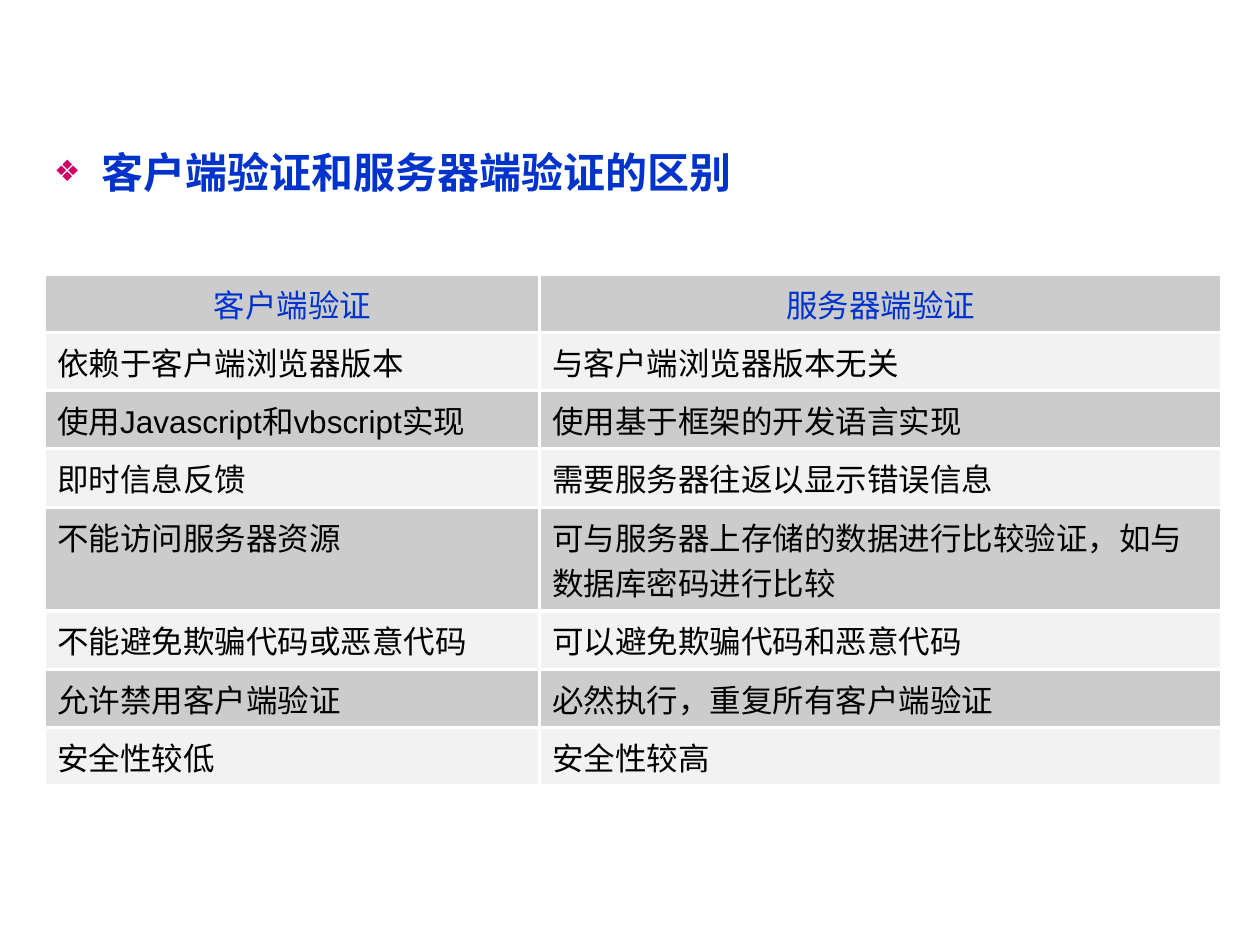
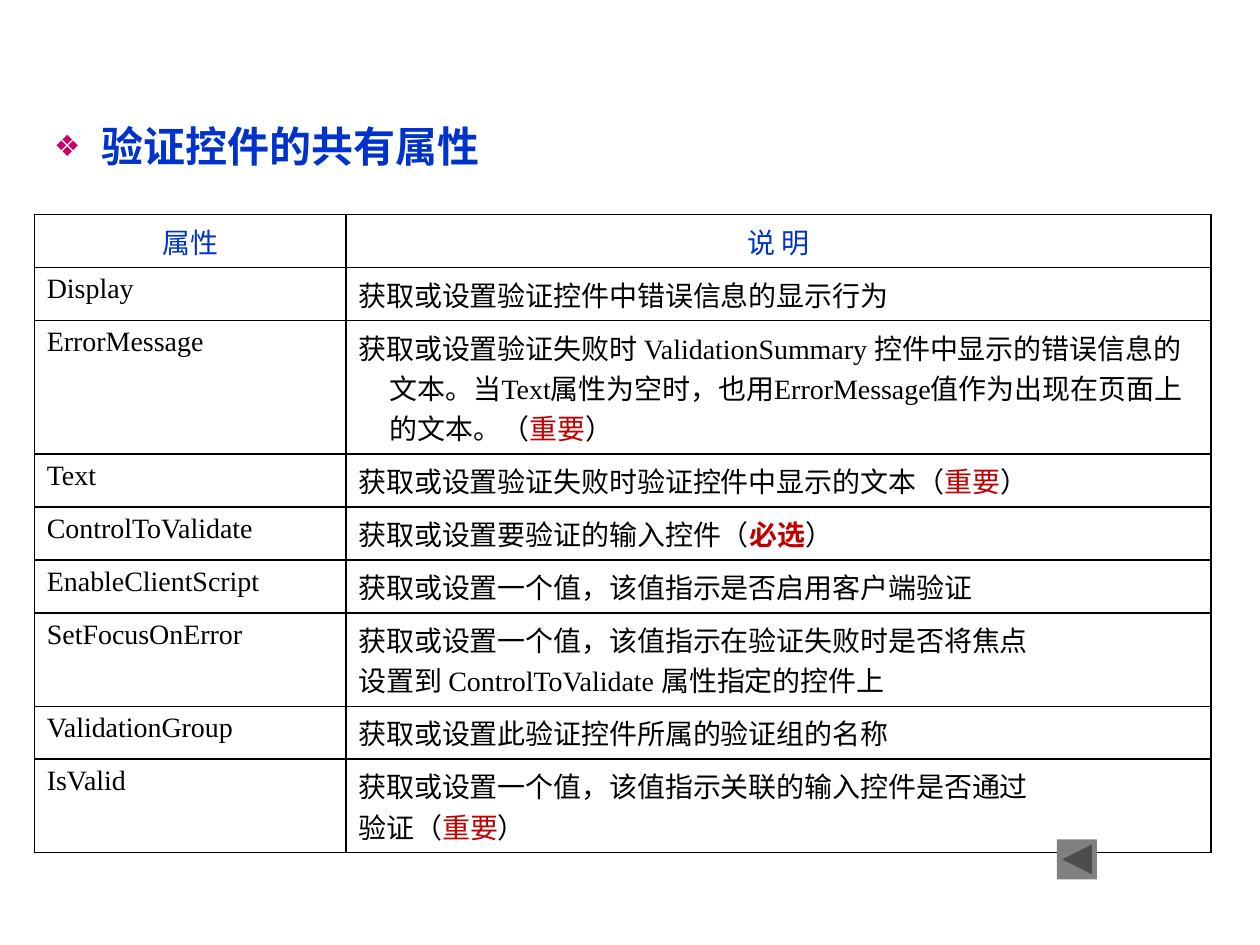
from dataclasses import dataclass, field

from lxml import etree
from pptx import Presentation, oxml, util as u
from pptx.dml import color
from pptx.enum import shapes, text
from pptx.oxml import ns

Pt = u.Pt


@dataclass(frozen=True)
class Theme:
    blue: str = "0033CC"
    black: str = "000000"
    white: str = "FFFFFF"
    red: str = "C00000"
    magenta: str = "CC0066"
    dark_band: str = "CCCCCC"
    light_band: str = "F2F2F2"
    button: str = "808080"
    sans: str = "Arial"
    serif: str = "Times New Roman"
    heading_size: float = 24
    compare_size: float = 18
    property_size: float = 16


T = Theme()


@dataclass(frozen=True)
class Mark:
    """A highlighted word inside a table cell."""
    text: str
    bold: bool = False


@dataclass(frozen=True)
class Heading:
    text: str
    top: float
    height: float
    line_spacing: float | None = None


@dataclass(frozen=True)
class Grid:
    """A two-column table; a cell is a string or a list of paragraphs."""
    left: float
    top: float
    columns: tuple
    row_height: float
    rows: list
    size: float
    font: str
    border: str
    border_width: float
    bands: tuple = ()
    hanging: float = 0
    tall_rows: dict = field(default_factory=dict)


def rgb(value: str) -> color.RGBColor:
    return color.RGBColor.from_string(value)


def add_run(p, content: str, *, size: float, font: str, ink: str, bold: bool = False) -> None:
    r = p.add_run()
    r.text = content
    r.font.size, r.font.name, r.font.bold = Pt(size), font, bold
    r.font.color.rgb = rgb(ink)


def set_indent(p, hanging: float) -> None:
    pPr = p._p.get_or_add_pPr()
    pPr.set("marL", str(Pt(hanging)))
    pPr.set("indent", str(-Pt(hanging)))


def add_bullet(p) -> None:
    pPr = p._p.get_or_add_pPr()
    clr = etree.SubElement(pPr, ns.qn("a:buClr"))
    etree.SubElement(clr, ns.qn("a:srgbClr"), val=T.magenta)
    etree.SubElement(pPr, ns.qn("a:buSzPct"), val="70000")
    etree.SubElement(pPr, ns.qn("a:buFont"), typeface=T.sans)
    etree.SubElement(pPr, ns.qn("a:buChar"), char="❖")


def add_slide(prs, heading: Heading):
    """Add a slide whose body placeholder carries the bulleted heading."""
    s = prs.slides.add_slide(prs.slide_layouts[1])
    title = s.shapes.title
    title._element.getparent().remove(title._element)
    sp = s.placeholders[1]
    sp.left, sp.top = Pt(23.76), Pt(heading.top)
    sp.width, sp.height = Pt(672.5), Pt(heading.height)
    tf = sp.text_frame
    tf.auto_size = text.MSO_AUTO_SIZE.NONE
    p = tf.paragraphs[0]
    if heading.line_spacing:
        p.line_spacing = heading.line_spacing
    set_indent(p, 27)
    add_bullet(p)
    add_run(p, heading.text, size=T.heading_size, font=T.sans, ink=T.blue, bold=True)
    return s


def set_borders(cell, ink: str, width: float) -> None:
    tcPr = cell._tc.get_or_add_tcPr()
    for i, side in enumerate("LRTB"):
        tcPr.insert(i, oxml.parse_xml(
            f'<a:ln{side} {ns.nsdecls("a")} w="{Pt(width)}"><a:solidFill>'
            f'<a:srgbClr val="{ink}"/></a:solidFill></a:ln{side}>'))


def fill_cell(cell, content, grid: Grid, row: int) -> None:
    header = row == 0
    if grid.bands:
        cell.fill.solid()
        cell.fill.fore_color.rgb = rgb(grid.bands[row % len(grid.bands)])
    else:
        cell.fill.background()
    set_borders(cell, grid.border, grid.border_width)

    tf = cell.text_frame
    paragraphs = [(content,)] if isinstance(content, str) else content
    for i, parts in enumerate(paragraphs):
        p = tf.add_paragraph() if i else tf.paragraphs[0]
        set_indent(p, grid.hanging)
        p.alignment = text.PP_ALIGN.CENTER if header else text.PP_ALIGN.LEFT
        for part in parts:
            if isinstance(part, Mark):
                add_run(p, part.text, size=grid.size, font=grid.font, ink=T.red, bold=part.bold)
            else:
                add_run(p, part, size=grid.size, font=T.sans if header else grid.font,
                        ink=T.blue if header else T.black)


def add_grid(s, grid: Grid) -> None:
    heights = [grid.tall_rows.get(i, grid.row_height) for i in range(len(grid.rows))]
    table = s.shapes.add_table(len(grid.rows), len(grid.columns), Pt(grid.left), Pt(grid.top),
                               Pt(sum(grid.columns)), Pt(sum(heights))).table
    table.first_row = table.horz_banding = False
    for column, width in zip(table.columns, grid.columns):
        column.width = Pt(width)
    for i, (height, row) in enumerate(zip(heights, grid.rows)):
        table.rows[i].height = Pt(height)
        for j, content in enumerate(row):
            fill_cell(table.cell(i, j), content, grid, i)


def add_back_button(s, left: float, top: float, size: float) -> None:
    sp = s.shapes.add_shape(shapes.MSO_SHAPE.ACTION_BUTTON_BACK_OR_PREVIOUS,
                            Pt(left), Pt(top), Pt(size), Pt(size))
    sp.shadow.inherit = False
    sp.fill.solid()
    sp.fill.fore_color.rgb = rgb(T.button)
    sp.line.fill.background()


IMPORTANT = Mark("重要")

COMPARISON = Grid(
    left=25.5, top=156.7, columns=(283, 389.5), row_height=33.3, tall_rows={4: 59.2},
    size=T.compare_size, font=T.sans, border=T.white, border_width=2,
    bands=(T.dark_band, T.light_band),
    rows=[
        ("客户端验证", "服务器端验证"),
        ("依赖于客户端浏览器版本", "与客户端浏览器版本无关"),
        ("使用Javascript和vbscript实现", "使用基于框架的开发语言实现"),
        ("即时信息反馈", "需要服务器往返以显示错误信息"),
        ("不能访问服务器资源", "可与服务器上存储的数据进行比较验证，如与数据库密码进行比较"),
        ("不能避免欺骗代码或恶意代码", "可以避免欺骗代码和恶意代码"),
        ("允许禁用客户端验证", "必然执行，重复所有客户端验证"),
        ("安全性较低", "安全性较高"),
    ])

PROPERTIES = Grid(
    left=19.6, top=122.5, columns=(178, 494.5), row_height=30.3,
    tall_rows={2: 76.3, 6: 53.3, 8: 53.3},
    size=T.property_size, font=T.serif, border=T.black, border_width=1, hanging=18,
    rows=[
        ("属性", "说 明"),
        ("Display", "获取或设置验证控件中错误信息的显示行为"),
        ("ErrorMessage", [(
            "获取或设置验证失败时 ValidationSummary 控件中显示的错误信息的文本。"
            "当Text属性为空时，也用ErrorMessage值作为出现在页面上的文本。（", IMPORTANT, "）")]),
        ("Text", [("获取或设置验证失败时验证控件中显示的文本（", IMPORTANT, "）")]),
        ("ControlToValidate", [("获取或设置要验证的输入控件（", Mark("必选", bold=True), "）")]),
        ("EnableClientScript", "获取或设置一个值，该值指示是否启用客户端验证"),
        ("SetFocusOnError", [("获取或设置一个值，该值指示在验证失败时是否将焦点",),
                             ("设置到 ControlToValidate 属性指定的控件上",)]),
        ("ValidationGroup", "获取或设置此验证控件所属的验证组的名称"),
        ("IsValid", [("获取或设置一个值，该值指示关联的输入控件是否通过",),
                     ("验证（", IMPORTANT, "）")]),
    ])


def main() -> None:
    prs = Presentation()
    prs.slide_width, prs.slide_height = Pt(720), Pt(540)

    # Client-side versus server-side validation
    s = add_slide(prs, Heading("客户端验证和服务器端验证的区别", 77, 62.6, 1.1))
    add_grid(s, COMPARISON)

    # Properties shared by the validation controls
    s = add_slide(prs, Heading("验证控件的共有属性", 65.5, 73.4))
    add_grid(s, PROPERTIES)
    add_back_button(s, 604, 479.7, 22.8)

    prs.save("out.pptx")


main()
